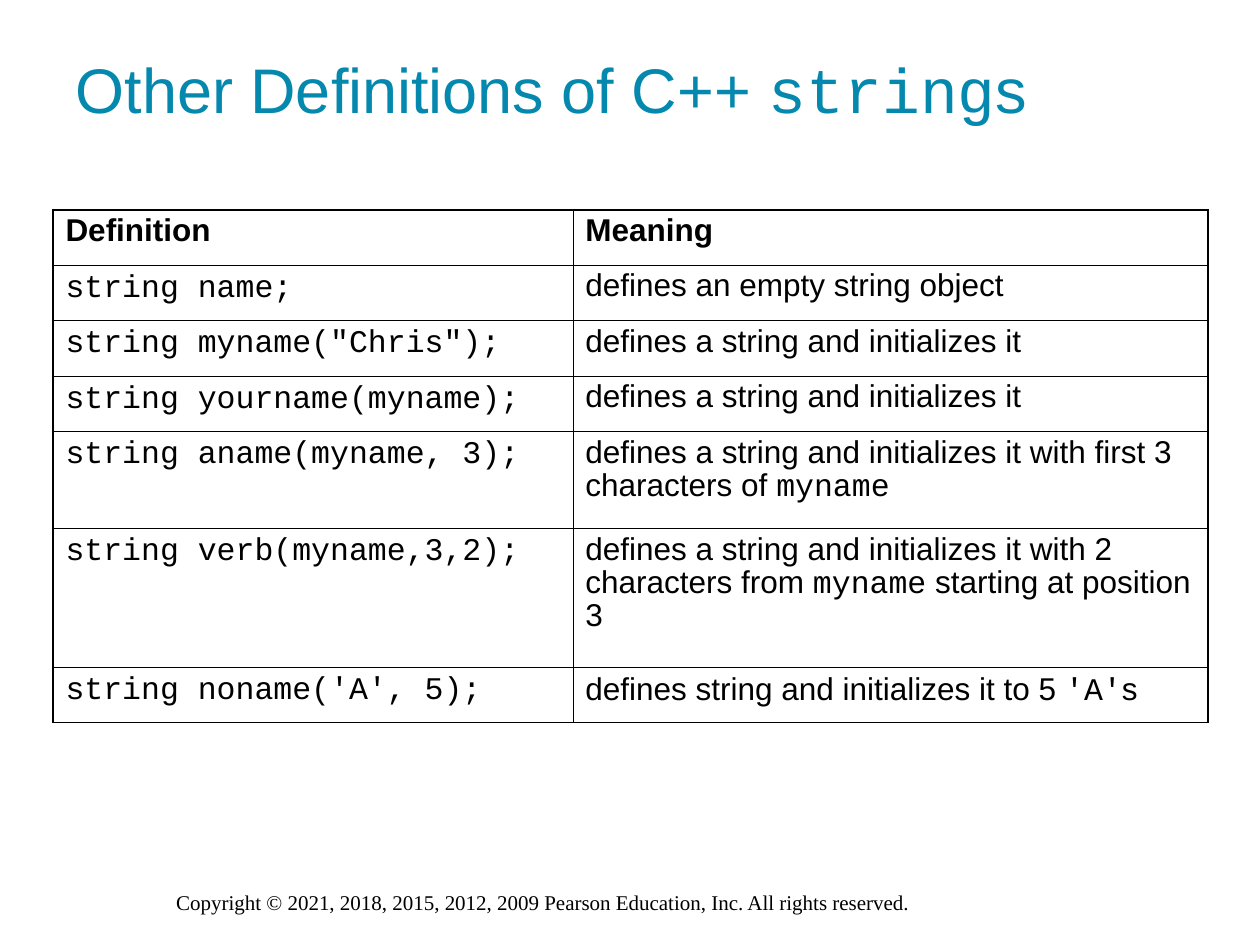
from dataclasses import dataclass

from lxml.etree import SubElement
from pptx import Presentation
from pptx.dml.color import RGBColor
from pptx.enum.text import MSO_ANCHOR, MSO_AUTO_SIZE, PP_ALIGN
from pptx.oxml.ns import qn
from pptx.util import Inches, Pt


@dataclass(frozen=True)
class Theme:
    accent: str = "0488AE"
    ink: str = "000000"
    paper: str = "FFFFFF"
    body: str = "Arial"
    code: str = "Courier New"
    legal: str = "Times New Roman"
    title_size: float = 36
    cell_size: float = 18
    legal_size: float = 12
    thick: float = 1.08
    thin: float = 0.45


THEME = Theme()
WIDTH, HEIGHT = Inches(10), Inches(7.5)
LINE_ROW = 0.44
COLUMN_SHARES = (0.45, 0.55)
ROWS = [
    (1, "Definition", "Meaning"),
    (1, "`string name;`", "defines an empty string object"),
    (1, '`string myname("Chris");`', "defines a string and initializes it"),
    (1, "`string yourname(myname);`", "defines a string and initializes it"),
    (1.75, "`string aname(myname, 3);`",
     "defines a string and initializes it with first 3 characters of `myname`"),
    (2.5, "`string verb(myname,3,2);`",
     "defines a string and initializes it with 2 characters from `myname` starting at position 3"),
    (1, "`string noname('A', 5);`", "defines string and initializes it to 5 `'A'`s"),
]


def box(left, top, width, height):
    return int(WIDTH * left), int(HEIGHT * top), int(WIDTH * width), int(HEIGHT * height)


def write(tf, text, size, font=THEME.body, color=THEME.ink, bold=False, spacing=1.0):
    p = tf.paragraphs[0]
    p.alignment = PP_ALIGN.LEFT
    p.line_spacing = spacing
    for i, part in enumerate(text.split("`")):
        if part:
            r = p.add_run()
            r.text = part
            r.font.name = THEME.code if i % 2 else font
            r.font.size = Pt(size)
            r.font.bold = bold
            r.font.color.rgb = RGBColor.from_string(color)


def set_borders(cell, widths):
    tc_pr = cell._tc.get_or_add_tcPr()
    for i, (side, width) in enumerate(widths.items()):
        ln = SubElement(tc_pr, qn(f"a:ln{side}"), w=str(Pt(width)))
        fill = SubElement(ln, qn("a:solidFill"))
        SubElement(fill, qn("a:srgbClr"), val=THEME.ink)
        tc_pr.remove(ln)
        tc_pr.insert(i, ln)


def add_title(slide, bounds):
    sp = slide.shapes.title
    sp.left, sp.top, sp.width, sp.height = bounds
    tf = sp.text_frame
    tf.word_wrap = True
    tf.auto_size = MSO_AUTO_SIZE.NONE
    tf.vertical_anchor = MSO_ANCHOR.MIDDLE
    write(tf, "Other Definitions of C++ `string`s", THEME.title_size, color=THEME.accent)


def add_definitions(slide, bounds):
    table = slide.shapes.add_table(len(ROWS), len(COLUMN_SHARES), *bounds).table
    table.first_row = table.horz_banding = False
    for column, share in zip(table.columns, COLUMN_SHARES):
        column.width = int(bounds[2] * share)
    last_row, last_col = len(ROWS) - 1, len(COLUMN_SHARES) - 1
    for i, (lines, *texts) in enumerate(ROWS):
        table.rows[i].height = Inches(lines * LINE_ROW)
        for j, text in enumerate(texts):
            cell = table.cell(i, j)
            cell.fill.background()
            write(cell.text_frame, text, THEME.cell_size, bold=i == 0, spacing=0.9)
            outer = {"L": j == 0, "R": j == last_col, "T": i == 0, "B": i == last_row}
            set_borders(cell, {side: THEME.thick if edge else THEME.thin
                               for side, edge in outer.items()})


def add_copyright(slide, bounds):
    tf = slide.shapes.add_textbox(*bounds).text_frame
    tf.word_wrap = True
    write(tf, "Copyright © 2021, 2018, 2015, 2012, 2009 Pearson Education, Inc. All rights reserved.",
          THEME.legal_size, font=THEME.legal)


def main():
    prs = Presentation()
    prs.slide_width, prs.slide_height = WIDTH, HEIGHT
    slide = prs.slides.add_slide(prs.slide_layouts[5])
    slide.background.fill.solid()
    slide.background.fill.fore_color.rgb = RGBColor.from_string(THEME.paper)
    add_copyright(slide, box(0.13, 0.935, 0.742, 0.04))
    add_title(slide, box(0.05, 0.01, 0.833, 0.167))
    add_definitions(slide, box(0.042, 0.222, 0.917, 0.544))
    prs.save("out.pptx")


if __name__ == "__main__":
    main()
